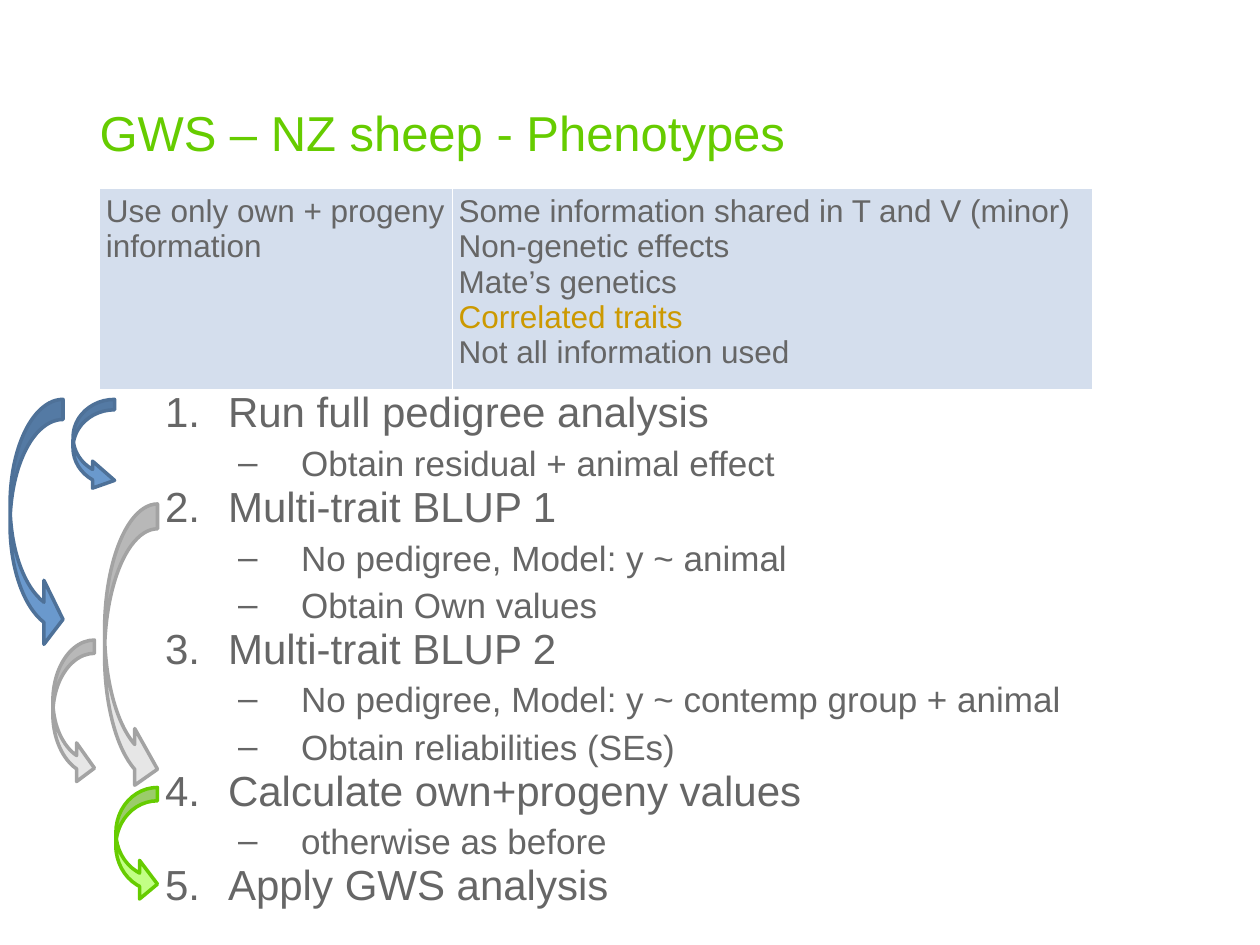
from lxml.etree import SubElement
from pptx import Presentation
from pptx.dml.color import RGBColor
from pptx.enum.shapes import MSO_SHAPE
from pptx.enum.text import MSO_ANCHOR
from pptx.oxml.ns import qn
from pptx.util import Inches, Pt

THEME = {
    "font": "Arial",
    "title_size": 28, "cell_size": 18, "step_size": 24, "detail_size": 20,
    "text": "666666", "title": "66CC00", "highlight": "CC9900",
    "cell": "D4DEED", "border": "FFFFFF",
    "blue": ("6A99CD", "4E7198"),
    "grey": ("E6E6E6", "A3A3A3"),
    "green": ("C2FF85", "66CC00"),
}


def add_run(paragraph, text, size, color):
    run = paragraph.add_run()
    run.text = text
    run.font.name = THEME["font"]
    run.font.size = Pt(THEME[size])
    run.font.color.rgb = RGBColor.from_string(THEME[color])


def add_text_frame(slide, left, top, width, height):
    box = slide.shapes.add_textbox(Inches(left), Inches(top), Inches(width), Inches(height))
    frame = box.text_frame
    frame.word_wrap = True
    frame.margin_left = frame.margin_right = frame.margin_top = frame.margin_bottom = 0
    return frame


presentation = Presentation()
presentation.slide_width = Inches(10)
presentation.slide_height = Inches(7.5)
slide = presentation.slides.add_slide(presentation.slide_layouts[6])

title_frame = add_text_frame(slide, 0.79, 0.49, 7.87, 0.79)
title_frame.vertical_anchor = MSO_ANCHOR.BOTTOM
title_frame.paragraphs[0].line_spacing = Pt(33)
add_run(title_frame.paragraphs[0], "GWS – NZ sheep - Phenotypes", "title_size", "title")

column_widths = [2.8, 5.08]
cell_lines = [
    [("Use only own + progeny information", "text")],
    [
        ("Some information shared in T and V (minor)", "text"),
        ("Non-genetic effects", "text"),
        ("Mate’s genetics", "text"),
        ("Correlated traits", "highlight"),
        ("Not all information used", "text"),
    ],
]
table = slide.shapes.add_table(
    1, 2, Inches(0.79), Inches(1.49), Inches(sum(column_widths)), Inches(1.5)
).table
table.first_row = False
table.horz_banding = False
for index, (width, lines) in enumerate(zip(column_widths, cell_lines)):
    table.columns[index].width = Inches(width)
    cell = table.cell(0, index)
    cell.margin_left = cell.margin_right = Inches(0.05)
    cell.margin_top = cell.margin_bottom = Inches(0.05)
    properties = cell._tc.get_or_add_tcPr()
    for side in ("lnL", "lnR", "lnT", "lnB"):
        border = SubElement(properties, qn(f"a:{side}"), w=str(Pt(1)))
        border_fill = SubElement(border, qn("a:solidFill"))
        SubElement(border_fill, qn("a:srgbClr"), val=THEME["border"])
    cell.fill.solid()
    cell.fill.fore_color.rgb = RGBColor.from_string(THEME["cell"])
    for number, (text, color) in enumerate(lines):
        frame = cell.text_frame
        paragraph = frame.add_paragraph() if number else frame.paragraphs[0]
        add_run(paragraph, text, "cell_size", color)

steps = [
    (0, "Run full pedigree analysis"),
    (1, "Obtain residual + animal effect"),
    (0, "Multi-trait BLUP 1"),
    (1, "No pedigree, Model: y ~ animal"),
    (1, "Obtain Own values"),
    (0, "Multi-trait BLUP 2"),
    (1, "No pedigree, Model: y ~ contemp group + animal"),
    (1, "Obtain reliabilities (SEs)"),
    (0, "Calculate own+progeny values"),
    (1, "otherwise as before"),
    (0, "Apply GWS analysis"),
]
levels = [
    ("step_size", 0.89, "a:buAutoNum", {"type": "arabicPeriod"}),
    ("detail_size", 1.47, "a:buChar", {"char": "–"}),
]
steps_frame = add_text_frame(slide, 0.92, 3.17, 7.74, 3.88)
for number, (level, text) in enumerate(steps):
    size, indent, bullet, attributes = levels[level]
    paragraph = steps_frame.add_paragraph() if number else steps_frame.paragraphs[0]
    paragraph.level = level
    paragraph.line_spacing = Pt(21)
    paragraph.space_after = Pt(6)
    properties = paragraph._p.get_or_add_pPr()
    properties.set("marL", str(Inches(indent)))
    properties.set("indent", str(Inches(-0.5)))
    SubElement(properties, qn("a:buFont"), typeface=THEME["font"])
    SubElement(properties, qn(bullet), attributes)
    add_run(paragraph, text, size, "text")

arrows = [
    (0.58, 3.17, 0.33, 0.75, "blue", (0.25, 0.65, 0.53)),
    (0.08, 3.17, 0.42, 2, "blue", (0.38, 1.21, 0.36)),
    (0.83, 4, 0.42, 2.33, "grey", (0.47, 1.07, 0.43)),
    (0.42, 5.08, 0.33, 1.17, "grey", (0.32, 0.93, 0.43)),
    (0.92, 6.25, 0.33, 0.92, "green", (0.32, 0.93, 0.43)),
]
for left, top, width, height, palette, adjustments in arrows:
    arrow = slide.shapes.add_shape(
        MSO_SHAPE.CURVED_RIGHT_ARROW, Inches(left), Inches(top), Inches(width), Inches(height)
    )
    fill_color, line_color = THEME[palette]
    arrow.shadow.inherit = False
    arrow.fill.solid()
    arrow.fill.fore_color.rgb = RGBColor.from_string(fill_color)
    arrow.line.color.rgb = RGBColor.from_string(line_color)
    arrow.line.width = Pt(2)
    for index, adjustment in enumerate(adjustments):
        arrow.adjustments[index] = adjustment

presentation.save("out.pptx")
